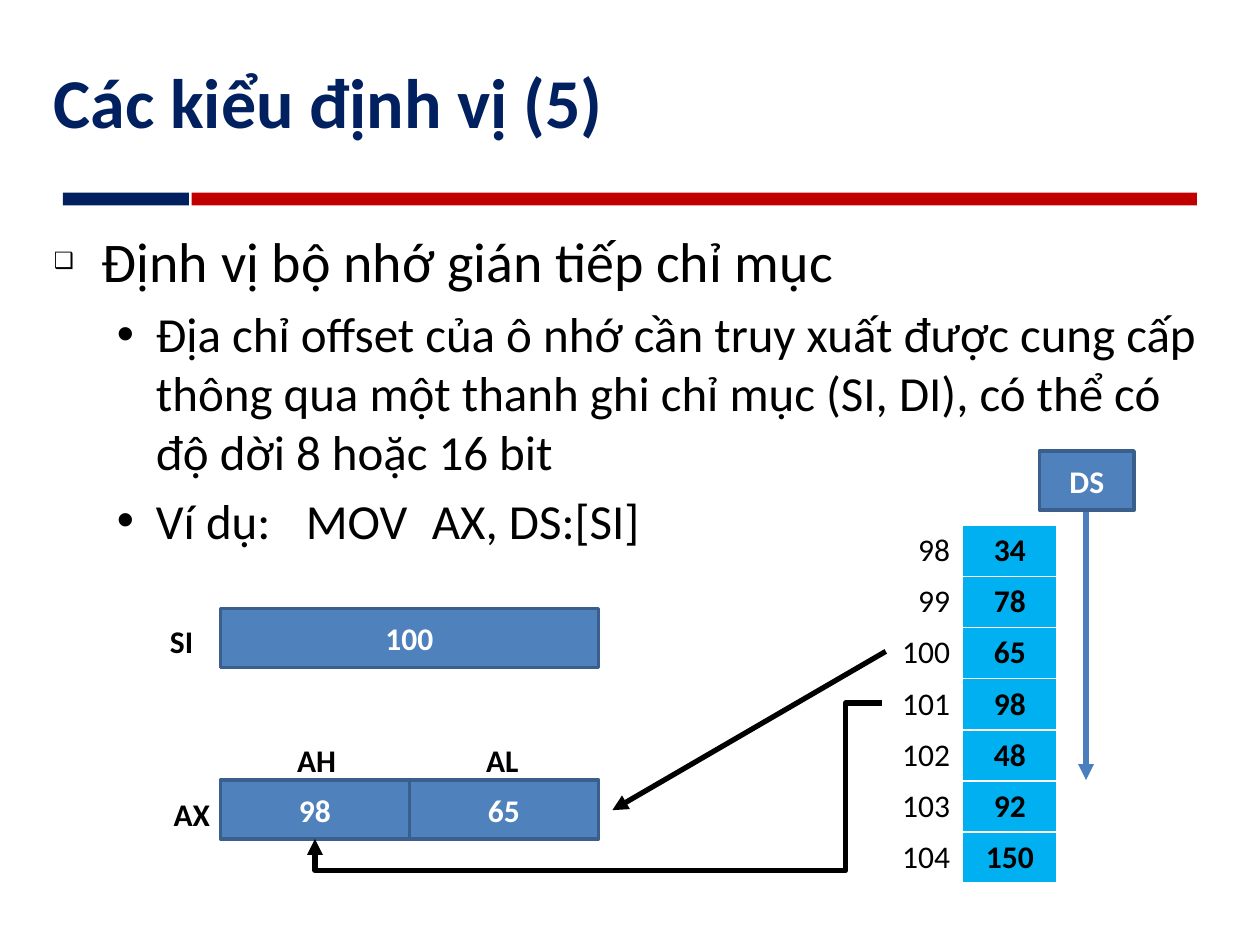
from lxml import etree
from pptx import Presentation
from pptx.dml.color import RGBColor
from pptx.enum import shapes, text
from pptx.oxml import ns
from pptx.util import Inches, Pt

FONT = "Calibri"
NAVY = RGBColor(0x00, 0x20, 0x60)
RED = RGBColor(0xC0, 0x00, 0x00)
BLUE = RGBColor(0x4F, 0x81, 0xBD)
EDGE = RGBColor(0x3A, 0x5F, 0x8C)
ARROW = RGBColor(0x4B, 0x7E, 0xBC)
CYAN = RGBColor(0x00, 0xB0, 0xF0)
BLACK = RGBColor(0, 0, 0)
WHITE = RGBColor(255, 255, 255)

TITLE = "Các kiểu định vị (5)"
# text, size, level, left margin, hanging indent, bullet, bullet size in %
BODY = [
    ("Định vị bộ nhớ gián tiếp chỉ mục", 32, 0, 0.38, 0.38, "❑", 40),
    ("Địa chỉ offset của ô nhớ cần truy xuất được cung cấp thông qua một "
     "thanh ghi chỉ mục (SI, DI), có thể có độ dời 8 hoặc 16 bit",
     28, 1, 0.81, 0.31, "•", 100),
    ("Ví dụ:\tMOV\tAX, DS:[SI]", 28, 1, 0.81, 0.31, "•", 100),
]
FIRST_ADDRESS = 98
MEMORY = [34, 78, 65, 98, 48, 92, 150]
COLUMNS = (0.64, 0.75)
ROW_HEIGHT = 2.84 / len(MEMORY)
RULES = [(0.5, 1, NAVY), (1.52, 7.98, RED)]  # left, width, colour
REGISTERS = [  # value, left, top, width
    ("65", 3.25, 6.19, 1.5),
    ("98", 1.75, 6.19, 1.5),
    ("DS", 8.25, 3.58, 0.75),
    ("100", 1.75, 4.83, 3),
]
LABELS = [  # name, left, top, width
    ("AX", 1.28, 6.26, 0.49),
    ("AH", 2.26, 5.83, 0.51),
    ("AL", 3.76, 5.83, 0.46),
    ("SI", 1.25, 4.89, 0.39),
]
ARROWS = [  # start, end, colour
    ((7.03, 5.17), (4.86, 6.43), BLACK),
    ((8.62, 4.06), (8.62, 6.19), ARROW),
]


def add_text(p, value, size=18, color=BLACK, bold=True, align=None):
    p.alignment = align
    r = p.add_run()
    r.text = value
    r.font.name, r.font.size, r.font.bold = FONT, Pt(size), bold
    r.font.color.rgb = color


def add_rect(s, left, top, width, height, fill, edge=None):
    sp = s.shapes.add_shape(shapes.MSO_SHAPE.RECTANGLE, Inches(left),
                            Inches(top), Inches(width), Inches(height))
    sp.shadow.inherit = False
    sp.fill.solid()
    sp.fill.fore_color.rgb = fill
    if edge is None:
        sp.line.fill.background()
    else:
        sp.line.color.rgb = edge
        sp.line.width = Pt(2)
    return sp


def add_box(s, left, top, width, height, wrap=True):
    tf = s.shapes.add_textbox(Inches(left), Inches(top), Inches(width),
                              Inches(height)).text_frame
    tf.word_wrap = wrap
    return tf


def sub(parent, tag, **attrs):
    return etree.SubElement(parent, ns.qn(tag), attrs)


def format_bullet(p, margin, hang, char, size):
    pPr = p._p.get_or_add_pPr()
    pPr.set("marL", str(Inches(margin)))
    pPr.set("indent", str(-Inches(hang)))
    sub(sub(pPr, "a:spcBef"), "a:spcPct", val="20000")
    sub(pPr, "a:buSzPct", val=str(size * 1000))
    sub(pPr, "a:buFont", typeface="Arial")
    sub(pPr, "a:buChar", char=char)


def add_arrow(s, kind, start, end, color, arrowhead):
    """Add a connector; arrowhead is a:headEnd (start) or a:tailEnd (end)."""
    c = s.shapes.add_connector(kind, *map(Inches, start + end))
    c.line.color.rgb = color
    c.line.width = Pt(3)
    sub(c.line._get_or_add_ln(), arrowhead, type="triangle")
    sub(c._element.spPr, "a:effectLst")
    return c


def add_memory(s):
    t = s.shapes.add_table(len(MEMORY), 2, Inches(7), Inches(4.17),
                           Inches(sum(COLUMNS)),
                           Inches(ROW_HEIGHT * len(MEMORY))).table
    t.first_row = t.horz_banding = False
    for column, width in zip(t.columns, COLUMNS):
        column.width = Inches(width)
    for i, value in enumerate(MEMORY):
        t.rows[i].height = Inches(ROW_HEIGHT)
        address, content = t.cell(i, 0), t.cell(i, 1)
        address.fill.background()
        content.fill.solid()
        content.fill.fore_color.rgb = CYAN
        for cell in (address, content):
            cell.vertical_anchor = text.MSO_ANCHOR.MIDDLE
        add_text(address.text_frame.paragraphs[0], str(FIRST_ADDRESS + i),
                 bold=False, align=text.PP_ALIGN.RIGHT)
        add_text(content.text_frame.paragraphs[0], str(value),
                 align=text.PP_ALIGN.CENTER)


def add_bent_arrow(s):
    """Lead from address 101 under the registers and up into AH."""
    c = add_arrow(s, shapes.MSO_CONNECTOR.ELBOW, (5.29, 8.37), (4.21, 3.87),
                  BLACK, "a:headEnd")
    spPr = c._element.spPr
    spPr.find(ns.qn("a:xfrm")).set("rot", "5400000")
    geom = spPr.find(ns.qn("a:prstGeom"))
    geom.set("prst", "bentConnector4")
    guides = geom.find(ns.qn("a:avLst"))
    if guides is None:
        guides = sub(geom, "a:avLst")
    for name, value in (("adj1", -23100), ("adj2", 93600)):
        sub(guides, "a:gd", name=name, fmla=f"val {value}")


def main():
    prs = Presentation()
    prs.slide_width, prs.slide_height = Inches(10), Inches(7.5)
    s = prs.slides.add_slide(prs.slide_layouts[6])

    for left, width, color in RULES:
        add_rect(s, left, 1.53, width, 0.1, color)

    tf = add_box(s, 0.33, 0.17, 9.33, 1.25)
    tf.vertical_anchor = text.MSO_ANCHOR.MIDDLE
    add_text(tf.paragraphs[0], TITLE, 40, NAVY)

    tf = add_box(s, 0.33, 1.75, 9.33, 5.6)
    for i, (value, size, level, *bullet) in enumerate(BODY):
        p = tf.add_paragraph() if i else tf.paragraphs[0]
        p.level = level
        add_text(p, value, size, bold=False)
        format_bullet(p, *bullet)

    add_memory(s)
    for value, left, top, width in REGISTERS:
        tf = add_rect(s, left, top, width, 0.47, BLUE, EDGE).text_frame
        tf.vertical_anchor = text.MSO_ANCHOR.MIDDLE
        add_text(tf.paragraphs[0], value, color=WHITE,
                 align=text.PP_ALIGN.CENTER)
    for name, left, top, width in LABELS:
        tf = add_box(s, left, top, width, 0.4, wrap=False)
        tf.auto_size = text.MSO_AUTO_SIZE.SHAPE_TO_FIT_TEXT
        add_text(tf.paragraphs[0], name)

    add_bent_arrow(s)
    for start, end, color in ARROWS:
        add_arrow(s, shapes.MSO_CONNECTOR.STRAIGHT, start, end, color,
                  "a:tailEnd")
    prs.save("out.pptx")


if __name__ == "__main__":
    main()
